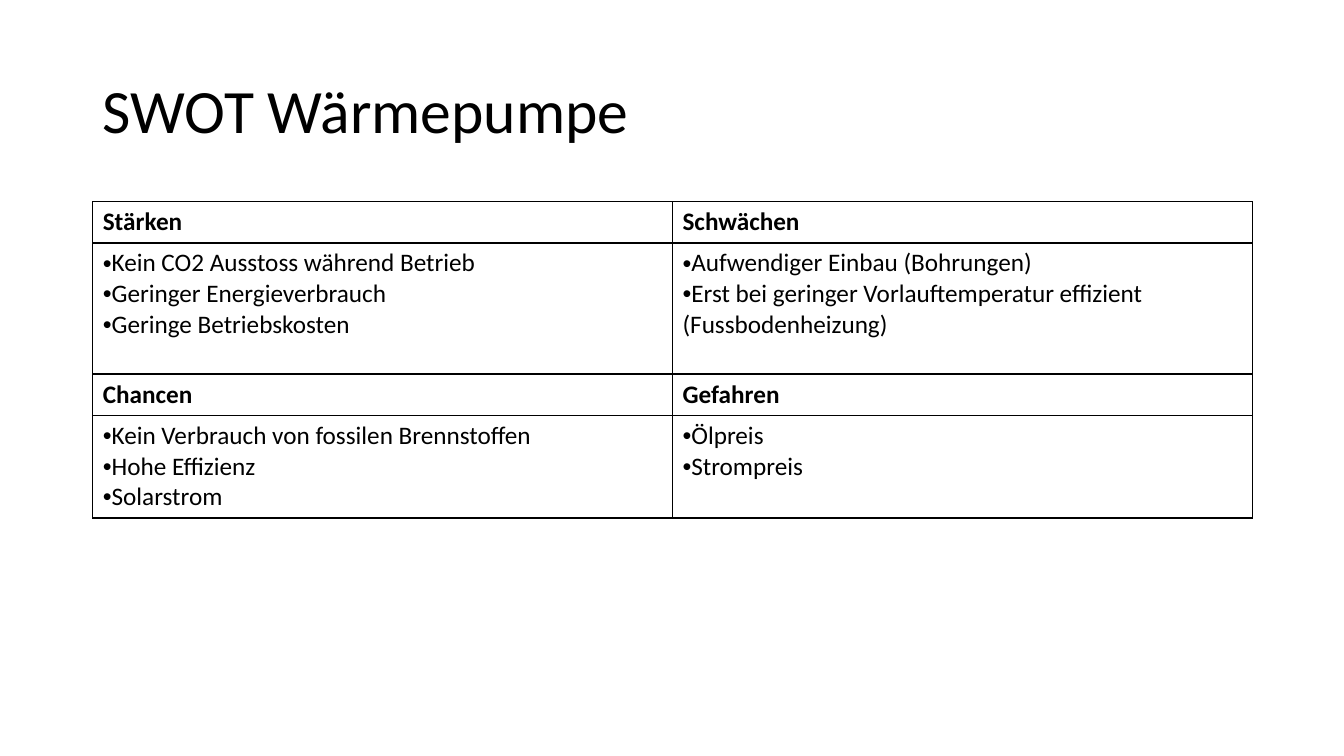
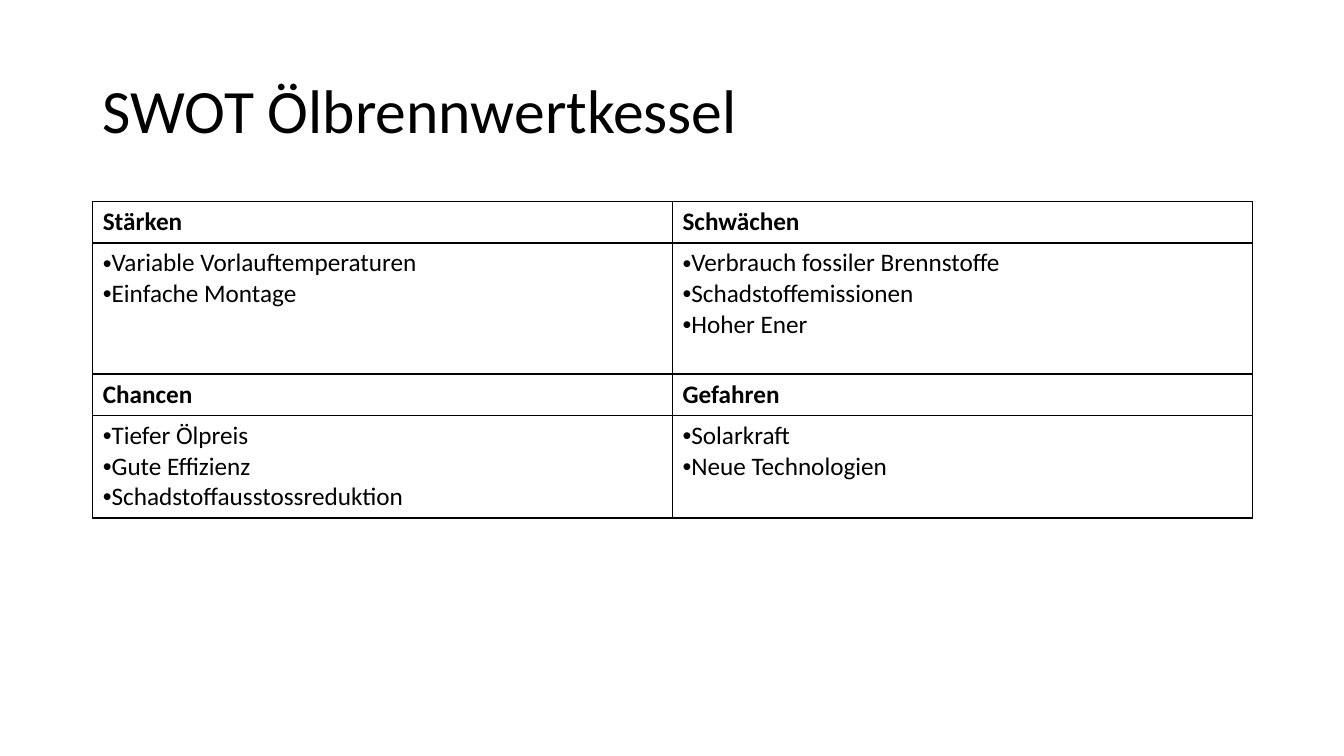
"""Build two SWOT slides that compare heating systems."""
from dataclasses import dataclass

from lxml import etree
from pptx import Presentation
from pptx.dml.color import RGBColor
from pptx.enum.text import MSO_ANCHOR, MSO_AUTO_SIZE, PP_ALIGN
from pptx.oxml.ns import qn
from pptx.util import Inches, Pt

LEFT = PP_ALIGN.LEFT
MIDDLE = MSO_ANCHOR.MIDDLE
NO_AUTOFIT = MSO_AUTO_SIZE.NONE
TITLE_ONLY_LAYOUT = 5

CONTENT_LEFT = Inches(0.92)
CONTENT_WIDTH = Inches(11.5)
TITLE_TOP = Inches(0.4)
TITLE_HEIGHT = Inches(1.45)
TABLE_TOP = Inches(2)
ROW_HEIGHTS = [Inches(0.41), Inches(1.3), Inches(0.41), Inches(1.02)]
BORDER_SIDES = ("a:lnL", "a:lnR", "a:lnT", "a:lnB")
HEADINGS = (("Stärken", "Schwächen"), ("Chancen", "Gefahren"))


@dataclass(frozen=True)
class Theme:
    """Colours, font and sizes shared by the slides."""
    ink: str = "000000"
    font: str = "Calibri"
    title_size: int = 44
    table_size: int = 18
    border_width: int = 1


THEME = Theme()

# Points are listed quadrant by quadrant, in the order of HEADINGS.
ANALYSES = {
    "SWOT Wärmepumpe": (
        (("Kein CO2 Ausstoss während Betrieb",
          "Geringer Energieverbrauch",
          "Geringe Betriebskosten"),
         ("Aufwendiger Einbau (Bohrungen)",
          "Erst bei geringer Vorlauftemperatur effizient (Fussbodenheizung)")),
        (("Kein Verbrauch von fossilen Brennstoffen",
          "Hohe Effizienz",
          "Solarstrom"),
         ("Ölpreis", "Strompreis")),
    ),
    "SWOT Ölbrennwertkessel": (
        (("Variable Vorlauftemperaturen", "Einfache Montage"),
         ("Verbrauch fossiler Brennstoffe",
          "Schadstoffemissionen",
          "Hoher Ener")),
        (("Tiefer Ölpreis",
          "Gute Effizienz",
          "Schadstoffausstossreduktion"),
         ("Solarkraft", "Neue Technologien")),
    ),
}


def format_runs(paragraph, size, bold=False):
    """Apply the theme font to every run of a paragraph."""
    for run in paragraph.runs:
        run.font.name = THEME.font
        run.font.size = Pt(size)
        run.font.bold = bold
        run.font.color.rgb = RGBColor.from_string(THEME.ink)


def add_bullet(paragraph):
    """Put a bullet directly before the paragraph text."""
    properties = paragraph._p.get_or_add_pPr()
    properties.set("marL", "0")
    properties.set("indent", "0")
    etree.SubElement(properties, qn("a:buFont")).set("typeface", "Arial")
    etree.SubElement(properties, qn("a:buChar")).set("char", "•")


def style_cell(cell):
    """Give a cell thin borders on all sides and no fill."""
    properties = cell._tc.get_or_add_tcPr()
    for side in BORDER_SIDES:
        line = etree.SubElement(properties, qn(side))
        line.set("w", str(Pt(THEME.border_width)))
        fill = etree.SubElement(line, qn("a:solidFill"))
        etree.SubElement(fill, qn("a:srgbClr")).set("val", THEME.ink)
    cell.fill.background()


def fill_heading(cell, heading):
    """Write a bold quadrant heading."""
    style_cell(cell)
    cell.text_frame.text = heading
    format_runs(cell.text_frame.paragraphs[0], THEME.table_size, bold=True)


def fill_points(cell, points):
    """Write the bulleted points of a quadrant."""
    style_cell(cell)
    cell.text_frame.text = "\n".join(points)
    for paragraph in cell.text_frame.paragraphs:
        add_bullet(paragraph)
        format_runs(paragraph, THEME.table_size)


def set_title(slide, text):
    """Place and format the title placeholder."""
    title = slide.shapes.title
    title.left, title.top = CONTENT_LEFT, TITLE_TOP
    title.width, title.height = CONTENT_WIDTH, TITLE_HEIGHT
    frame = title.text_frame
    frame.text = text
    frame.word_wrap = True
    frame.auto_size = NO_AUTOFIT
    frame.vertical_anchor = MIDDLE
    paragraph = frame.paragraphs[0]
    paragraph.alignment = LEFT
    paragraph.line_spacing = 0.9
    format_runs(paragraph, THEME.title_size)


def add_swot_table(slide, quadrants):
    """Add the table with a heading row above each row of points."""
    table = slide.shapes.add_table(
        len(ROW_HEIGHTS), len(HEADINGS[0]), CONTENT_LEFT, TABLE_TOP,
        CONTENT_WIDTH, sum(ROW_HEIGHTS)).table
    table.first_row = False
    table.horz_banding = False
    for row, height in zip(table.rows, ROW_HEIGHTS):
        row.height = height
    for band, (headings, point_lists) in enumerate(zip(HEADINGS, quadrants)):
        for column, (heading, points) in enumerate(zip(headings, point_lists)):
            fill_heading(table.cell(2 * band, column), heading)
            fill_points(table.cell(2 * band + 1, column), points)


def main():
    """Build one slide per analysis and save the presentation."""
    presentation = Presentation()
    presentation.slide_width = Inches(13.33)
    presentation.slide_height = Inches(7.5)
    layout = presentation.slide_layouts[TITLE_ONLY_LAYOUT]
    for title, quadrants in ANALYSES.items():
        slide = presentation.slides.add_slide(layout)
        set_title(slide, title)
        add_swot_table(slide, quadrants)
    presentation.save("out.pptx")


if __name__ == "__main__":
    main()
